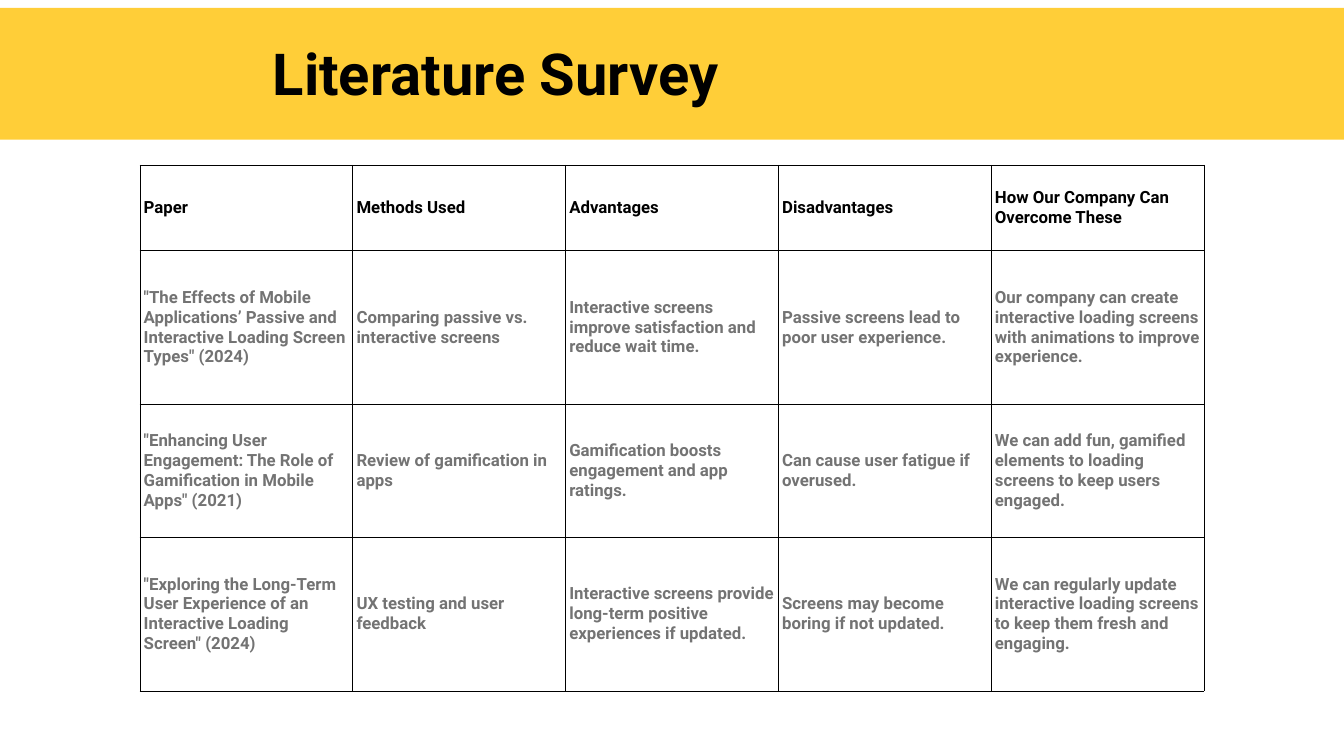
from dataclasses import astuple, dataclass

import pptx
import pptx.dml.color
import pptx.enum.shapes
import pptx.enum.text
import pptx.oxml
import pptx.oxml.ns
import pptx.util

Pt = pptx.util.Pt

COLOURS = {
    "band": "FFCE38",
    "heading": "000000",
    "body": "737373",
    "border": "000000",
    "cell": "FFFFFF",
}
FONT = "Roboto"
COLUMN_WIDTH = 228
ROW_HEIGHTS = [91.4, 165, 142, 165]


@dataclass
class SurveyRow:
    paper: str
    methods: str
    advantages: str
    disadvantages: str
    remedy: str


SURVEY = [
    SurveyRow(
        "Paper",
        "Methods Used",
        "Advantages",
        "Disadvantages",
        "How Our Company Can Overcome These",
    ),
    SurveyRow(
        '"The Effects of Mobile Applications’ Passive and Interactive Loading Screen Types" (2024)',
        "Comparing passive vs. interactive screens",
        "Interactive screens improve satisfaction and reduce wait time.",
        "Passive screens lead to poor user experience.",
        "Our company can create interactive loading screens with animations to improve experience.",
    ),
    SurveyRow(
        '"Enhancing User Engagement: The Role of Gamification in Mobile Apps" (2021)',
        "Review of gamification in apps",
        "Gamification boosts engagement and app ratings.",
        "Can cause user fatigue if overused.",
        "We can add fun, gamified elements to loading screens to keep users engaged.",
    ),
    SurveyRow(
        '"Exploring the Long-Term User Experience of an Interactive Loading Screen" (2024)',
        "UX testing and user feedback",
        "Interactive screens provide long-term positive experiences if updated.",
        "Screens may become boring if not updated.",
        "We can regularly update interactive loading screens to keep them fresh and engaging.",
    ),
]


def rgb(name: str) -> pptx.dml.color.RGBColor:
    return pptx.dml.color.RGBColor.from_string(COLOURS[name])


def style_paragraph(paragraph, size: float, colour: str) -> None:
    paragraph.font.name = FONT
    paragraph.font.size = Pt(size)
    paragraph.font.bold = True
    paragraph.font.color.rgb = rgb(colour)


def add_cell_borders(cell) -> None:
    """Put borders ahead of the fill, as the schema orders them."""
    properties = cell._tc.get_or_add_tcPr()
    for position, side in enumerate(("lnL", "lnR", "lnT", "lnB")):
        border = pptx.oxml.parse_xml(
            f'<a:{side} {pptx.oxml.ns.nsdecls("a")} w="{Pt(1)}"><a:solidFill>'
            f'<a:srgbClr val="{COLOURS["border"]}"/></a:solidFill></a:{side}>'
        )
        properties.insert(position, border)


def fill_cell(cell, wording: str, colour: str) -> None:
    cell.text = wording
    cell.vertical_anchor = pptx.enum.text.MSO_ANCHOR.MIDDLE
    cell.margin_left = cell.margin_right = Pt(4)
    cell.margin_top = cell.margin_bottom = Pt(2)
    cell.fill.solid()
    cell.fill.fore_color.rgb = rgb("cell")
    style_paragraph(cell.text_frame.paragraphs[0], 18, colour)
    add_cell_borders(cell)


def add_title_band(slide) -> None:
    band = slide.shapes.add_shape(
        pptx.enum.shapes.MSO_SHAPE.RECTANGLE, Pt(-16), Pt(8.6), Pt(1472), Pt(141)
    )
    band.shadow.inherit = False
    band.fill.solid()
    band.fill.fore_color.rgb = rgb("band")
    band.line.fill.background()


def add_title(slide) -> None:
    title = slide.shapes.add_textbox(Pt(292.3), Pt(27.4), Pt(855.4), Pt(83.5))
    frame = title.text_frame
    frame.word_wrap = True
    frame.margin_left = frame.margin_right = 0
    frame.margin_top = frame.margin_bottom = 0
    heading = frame.paragraphs[0]
    heading.text = "Literature Survey"
    heading.line_spacing = Pt(86.8)
    style_paragraph(heading, 62, "heading")


def add_survey_table(slide) -> None:
    columns = len(astuple(SURVEY[0]))
    table = slide.shapes.add_table(
        len(SURVEY), columns, Pt(150), Pt(177),
        Pt(columns * COLUMN_WIDTH), Pt(sum(ROW_HEIGHTS)),
    ).table
    for column in table.columns:
        column.width = Pt(COLUMN_WIDTH)
    for index, (row, height, entry) in enumerate(zip(table.rows, ROW_HEIGHTS, SURVEY)):
        row.height = Pt(height)
        colour = "body" if index else "heading"
        for cell, wording in zip(row.cells, astuple(entry)):
            fill_cell(cell, wording, colour)


def main() -> None:
    deck = pptx.Presentation()
    deck.slide_width, deck.slide_height = Pt(1440), Pt(810)
    slide = deck.slides.add_slide(deck.slide_layouts[6])
    add_title_band(slide)
    add_title(slide)
    add_survey_table(slide)
    deck.save("out.pptx")


if __name__ == "__main__":
    main()
